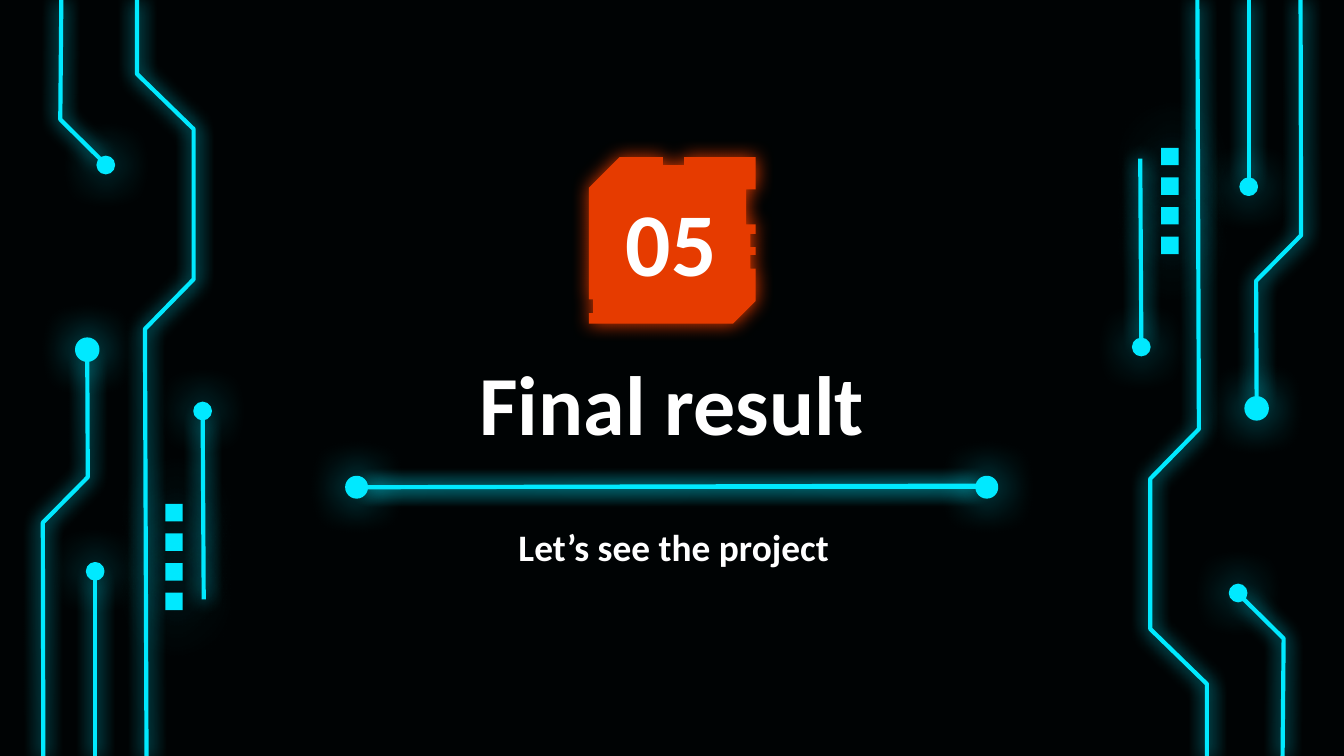
from pptx import Presentation
from pptx.dml.color import RGBColor
from pptx.enum.shapes import MSO_CONNECTOR as Connector, MSO_SHAPE as Shape
from pptx.enum.text import MSO_ANCHOR as Anchor, PP_ALIGN as Align
from pptx.oxml.xmlchemy import OxmlElement
from pptx.util import Cm, Pt

BLACK = RGBColor(0x00, 0x03, 0x04)
CYAN = RGBColor(0x00, 0xE9, 0xFF)
ORANGE = RGBColor(0xE6, 0x3B, 0x00)
WHITE = RGBColor(0xFF, 0xFF, 0xFF)

SLIDE_W, SLIDE_H = 25.4, 14.29
PANEL_W, PANEL_H = 4, 14.33

# Centimetres inside the left circuit panel
TRACES = [
    [(2.77, 14.33), (2.74, 6.22), (3.66, 5.28), (3.66, 2.44), (2.59, 1.4), (2.59, 0)],
    [(1.8, 14.33), (1.8, 10.9)],
    [(1.16, 0), (1.14, 2.26), (1.91, 3.02)],
    [(0.82, 14.33), (0.81, 9.88), (1.66, 9.02), (1.65, 6.76)],
    [(3.85, 11.33), (3.83, 7.87)],
]
NODES = [(1.65, 6.61, 0.41), (2, 3.12, 0.3), (3.83, 7.77, 0.3), (1.8, 10.8, 0.3)]
PAD_X, FIRST_PAD_Y, PAD_STEP, PAD_SIZE = 3.29, 9.69, 0.56, 0.33

# Centimetres inside the badge box
BADGE_OUTLINE = [
    (0.58, 0), (0, 0.58), (0, 2.69), (0.08, 2.69), (0.08, 2.95), (0, 2.95),
    (0, 3.15), (2.72, 3.15), (3.15, 2.72), (3.15, 2.11), (3.05, 2.11),
    (3.05, 1.85), (3.15, 1.85), (3.15, 1.7), (3.05, 1.7), (3.05, 1.45),
    (3.15, 1.45), (3.15, 1.27), (2.97, 1.27), (2.97, 0.61), (3.15, 0.61),
    (3.15, 0), (1.8, 0), (1.8, 0.15), (1.4, 0.15), (1.4, 0),
]


def add_glow(shape, color, blur, opacity=100, distance=0):
    """Put a soft coloured shadow on a shape whose fill and line are set."""
    effects = OxmlElement("a:effectLst")
    shadow = OxmlElement("a:outerShdw")
    shadow.set("blurRad", str(Pt(blur)))
    shadow.set("dist", str(Pt(distance)))
    shadow.set("algn", "bl")
    shadow.set("rotWithShape", "0")
    tint = OxmlElement("a:srgbClr")
    tint.set("val", str(color))
    alpha = OxmlElement("a:alpha")
    alpha.set("val", str(opacity * 1000))
    tint.append(alpha)
    shadow.append(tint)
    effects.append(shadow)
    shape._element.spPr.append(effects)


def paint(shape, fill=None, line=None, width=0):
    if fill is None:
        shape.fill.background()
    else:
        shape.fill.solid()
        shape.fill.fore_color.rgb = fill
    if line is None:
        shape.line.fill.background()
    else:
        shape.line.color.rgb = line
        shape.line.width = Pt(width)


def add_outline(slide, points, close):
    corners = [(Cm(x), Cm(y)) for x, y in points]
    builder = slide.shapes.build_freeform(*corners[0], scale=1.0)
    builder.add_line_segments(corners[1:], close=close)
    return builder.convert_to_shape()


def add_trace(slide, points):
    if len(points) == 2:
        ends = [Cm(value) for point in points for value in point]
        trace = slide.shapes.add_connector(Connector.STRAIGHT, *ends)
        trace.line.color.rgb = CYAN
        trace.line.width = Pt(2.25)
    else:
        trace = add_outline(slide, points, close=False)
        paint(trace, line=CYAN, width=2.25)
    add_glow(trace, CYAN, 10.1)


def add_centred(slide, kind, x, y, size):
    return slide.shapes.add_shape(
        kind, Cm(x - size / 2), Cm(y - size / 2), Cm(size), Cm(size))


def add_node(slide, x, y, size):
    node = add_centred(slide, Shape.OVAL, x, y, size)
    paint(node, fill=CYAN, line=CYAN, width=1.5)
    add_glow(node, CYAN, 22.5)


def add_pad(slide, x, y):
    pad = add_centred(slide, Shape.RECTANGLE, x, y, PAD_SIZE)
    paint(pad, fill=CYAN)
    add_glow(pad, CYAN, 36, opacity=70, distance=1.5)


def add_text(slide, text, left, top, width, height, size,
             align=Align.LEFT, anchor=Anchor.TOP, inset_y=0.13):
    box = slide.shapes.add_textbox(Cm(left), Cm(top), Cm(width), Cm(height))
    frame = box.text_frame
    frame.word_wrap = True
    frame.vertical_anchor = anchor
    frame.margin_left = frame.margin_right = Cm(0.25)
    frame.margin_top = frame.margin_bottom = Cm(inset_y)
    paragraph = frame.paragraphs[0]
    paragraph.alignment = align
    run = paragraph.add_run()
    run.text = text
    run.font.name = "Calibri"
    run.font.size = Pt(size)
    run.font.bold = True
    run.font.color.rgb = WHITE


def add_circuit(slide, left, top, width, height, turned=False):
    """Draw the circuit panel, turned by half a circle if asked."""
    def place(x, y):
        if turned:
            x, y = width - x, height - y
        return left + x, top + y

    for points in TRACES:
        add_trace(slide, [place(*point) for point in points])
    for x, y, size in NODES:
        add_node(slide, *place(x, y), size)
    for row in range(4):
        add_pad(slide, *place(PAD_X, FIRST_PAD_Y + row * PAD_STEP))


def add_badge(slide, left, top):
    badge = add_outline(
        slide, [(left + x, top + y) for x, y in BADGE_OUTLINE], close=True)
    paint(badge, fill=ORANGE)
    add_glow(badge, ORANGE, 10.1)


def add_divider(slide, left, middle, width, node_size):
    right = left + width
    for rise in (0.03, 0):  # two overlaid lines strengthen the glow
        add_trace(slide, [(left + node_size, middle),
                          (right - node_size, middle - rise)])
    for x in (left + node_size / 2, right - node_size / 2):
        add_node(slide, x, middle, node_size)


def add_heading(slide, left, top, width):
    """Place badge, number, title, divider and subtitle in one column."""
    centred = dict(align=Align.CENTER, anchor=Anchor.MIDDLE, inset_y=0.25)
    add_badge(slide, left + 7.09, top)
    add_text(slide, "Final result", left, top + 3.68, width, 1.88, 45, **centred)
    add_text(slide, "05", left + 2.08, top + 0.43, 13.13, 2.29, 48, **centred)
    add_divider(slide, left + 2.51, top + 6.24, 12.29, 0.38)
    add_text(slide, "Let’s see the project", left + 5.51, top + 6.81, 8.48, 1.12, 20)


def main():
    deck = Presentation()
    deck.slide_width, deck.slide_height = Cm(SLIDE_W), Cm(SLIDE_H)
    slide = deck.slides.add_slide(deck.slide_layouts[6])
    slide.background.fill.solid()
    slide.background.fill.fore_color.rgb = BLACK
    add_circuit(slide, 0, 0, PANEL_W, PANEL_H)
    add_circuit(slide, SLIDE_W - PANEL_W, 0, PANEL_W, PANEL_H, turned=True)
    add_heading(slide, 4.04, 2.97, 17.32)
    deck.save("out.pptx")


if __name__ == "__main__":
    main()
